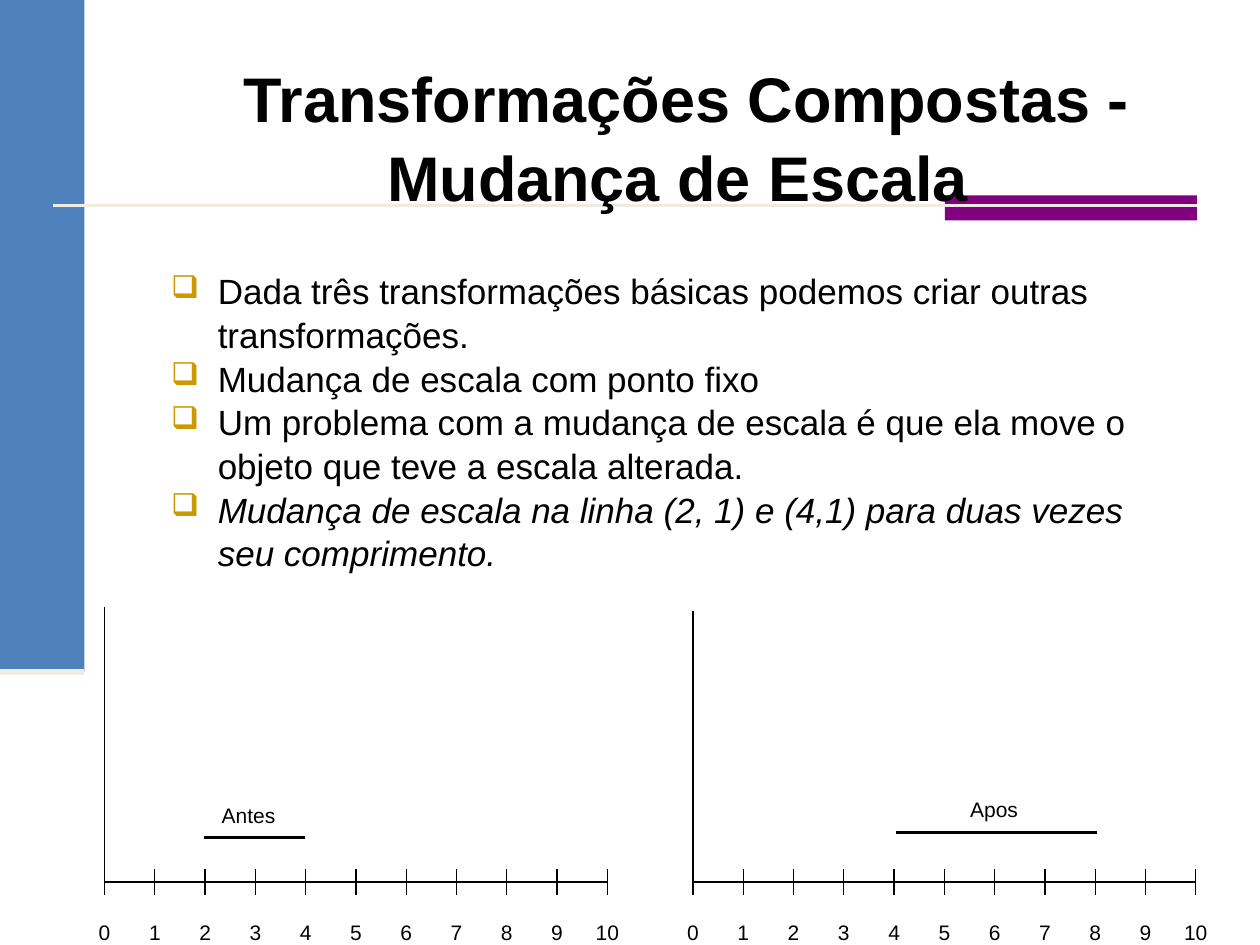
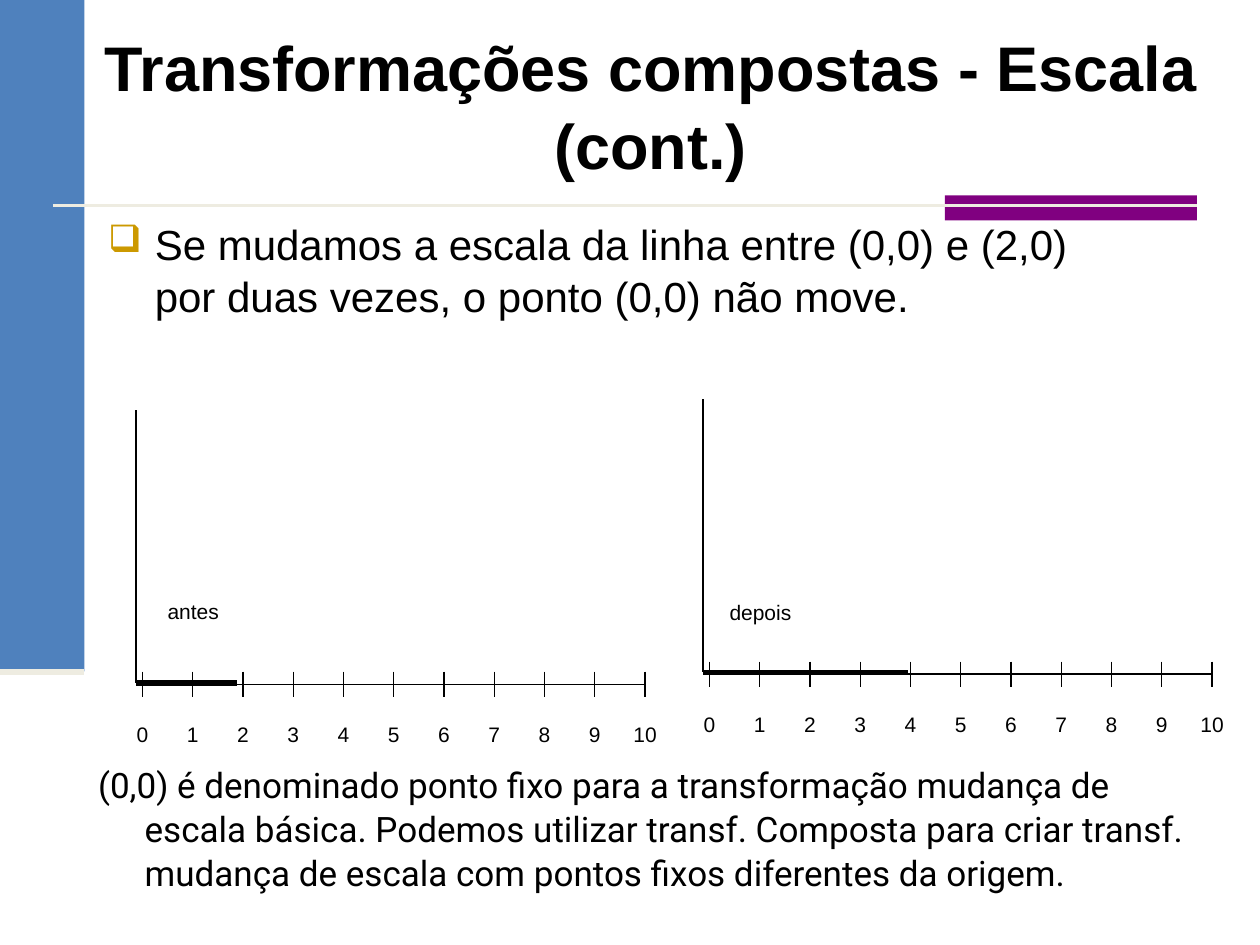
from lxml import etree
from pptx import Presentation
from pptx import util as u
from pptx.dml.color import RGBColor
from pptx.enum import shapes, text
from pptx.oxml import ns

BLACK, BLUE, PURPLE, CREAM, GOLD = "000000", "4F81BD", "800080", "EEECE1", "CC9900"
WIDTH, HEIGHT = 10, 7.5
STEP, TICKS, TICK_REACH = 0.399, 11, 0.1
HANGING, FIRST_LINE = 0.38, -0.37

PAGES = [
    {
        "title": " Transformações Compostas - Mudança de Escala",
        "title_at": (1.33, 0.42, 8.1, 1.31),
        "texts": [
            {
                "at": (1.25, 2.08, 7.92, 2.67), "size": 20, "font": "Arial", "bullet": "❑",
                "lines": [
                    ("Dada três transformações básicas podemos criar outras transformações.", False),
                    ("Mudança de escala com ponto fixo", False),
                    ("Um problema com a mudança de escala é que ela move o objeto que teve a escala alterada.", False),
                    ("Mudança de escala na linha (2, 1) e (4,1) para duas vezes seu comprimento.", True),
                ],
            },
        ],
        "weight": 1.62,
        "graphs": [
            {"origin": (0.83, 7), "axis": (0.83, 7, 4.82), "segment": (1.98, 3.98, 6.65),
             "label": "Antes", "label_at": (1.76, 6.37)},
            {"origin": (5.5, 7), "axis": (5.5, 7, 4.85), "segment": (4.04, 8.04, 6.61),
             "label": "Apos", "label_at": (7.7, 6.32)},
        ],
    },
    {
        "title": "Transformações compostas - Escala (cont.)",
        "title_at": (0.75, 0.17, 8.83, 1.31),
        "texts": [
            {
                "at": (0.75, 1.67, 7.92, 1), "size": 24, "font": "Arial", "bullet": "❑",
                "lines": [("Se mudamos a escala da linha entre (0,0) e (2,0) por duas vezes, "
                           "o ponto (0,0) não move.", False)],
            },
            {
                "at": (0.67, 6, 8.83, 1.33), "size": 20, "font": "Roboto", "bullet": None,
                "lines": [("(0,0) é denominado ponto fixo para a transformação mudança de escala básica. "
                           "Podemos utilizar transf. Composta para criar transf. mudança de escala "
                           "com pontos fixos diferentes da origem.", False)],
            },
        ],
        "weight": 3,
        "graphs": [
            {"origin": (1.13, 5.43), "axis": (1.08, 5.42, 3.25), "segment": (-0.12, 1.88, 5.42),
             "label": "antes", "label_at": (1.33, 4.75)},
            {"origin": (5.63, 5.35), "axis": (5.58, 5.33, 3.17), "segment": (-0.12, 3.96, 5.34),
             "label": "depois", "label_at": (5.79, 4.76)},
        ],
    },
]


def color(value):
    return RGBColor.from_string(value)


def inches(*values):
    return [u.Inches(value) for value in values]


def set_margins(frame, side, top):
    frame.margin_left = frame.margin_right = u.Inches(side)
    frame.margin_top = frame.margin_bottom = u.Inches(top)


def format_para(para, size, font="Arial", bold=False, italic=False):
    for span in para.runs:
        span.font.size, span.font.name = u.Pt(size), font
        span.font.bold, span.font.italic = bold, italic
        span.font.color.rgb = color(BLACK)


def add_line(page, start, end, weight, shade=BLACK):
    line = page.shapes.add_connector(shapes.MSO_CONNECTOR.STRAIGHT, *inches(*start, *end))
    line.line.color.rgb = color(shade)
    line.line.width = u.Pt(weight)
    etree.SubElement(line._element.spPr, ns.qn("a:effectLst"))
    return line


def add_bar(page, at, shade):
    bar = page.shapes.add_shape(shapes.MSO_SHAPE.RECTANGLE, *inches(*at))
    bar.shadow.inherit = False
    bar.fill.solid()
    bar.fill.fore_color.rgb = color(shade)
    bar.line.fill.background()
    return bar


def decorate_layout(layout, page):
    band, band_end, rule_y = 0.67, 5.33, 1.63
    parts = [
        add_bar(page, (0, 0, band, band_end), BLUE),
        add_bar(page, (7.5, 1.55, 2, 0.2), PURPLE),
        add_line(page, (0.42, rule_y), (9.5, rule_y), 1.5, CREAM),
        add_line(page, (0, band_end), (band, band_end), 3.5, CREAM),
    ]
    for part in parts:
        layout.shapes._spTree.append(part._element)


def write_title(page, words, at):
    title = page.shapes.title
    title.left, title.top, title.width, title.height = inches(*at)
    frame = title.text_frame
    frame.text = words
    frame.word_wrap = True
    frame.auto_size = text.MSO_AUTO_SIZE.NONE
    frame.vertical_anchor = text.MSO_ANCHOR.MIDDLE
    set_margins(frame, 0.07, 0.03)
    para = frame.paragraphs[0]
    para.alignment = text.PP_ALIGN.CENTER
    para.line_spacing = 1.04
    format_para(para, 36, bold=True)


def hang(para, bullet):
    props = para._p.get_or_add_pPr()
    props.set("marL", str(u.Inches(HANGING)))
    props.set("indent", str(u.Inches(FIRST_LINE)))
    if bullet:
        shade = etree.SubElement(props, ns.qn("a:buClr"))
        etree.SubElement(shade, ns.qn("a:srgbClr"), val=GOLD)
        etree.SubElement(props, ns.qn("a:buSzPct"), val="90000")
        etree.SubElement(props, ns.qn("a:buChar"), char=bullet)


def write_text(page, at, size, font, bullet, lines):
    frame = page.shapes.add_textbox(*inches(*at)).text_frame
    frame.word_wrap = True
    set_margins(frame, 0.1, 0.05)
    frame.text = "\n".join(words for words, _ in lines)
    for para, (_, italic) in zip(frame.paragraphs, lines):
        para.line_spacing = 1.04
        hang(para, bullet)
        format_para(para, size, font, italic=italic)


def write_label(page, words, left, top, width, centred=False):
    frame = page.shapes.add_textbox(*inches(left, top, width, 0.2)).text_frame
    frame.word_wrap = False
    set_margins(frame, 0, 0)
    frame.text = words
    para = frame.paragraphs[0]
    para.alignment = text.PP_ALIGN.CENTER if centred else text.PP_ALIGN.LEFT
    format_para(para, 12)


def draw_graph(page, weight, origin, axis, segment, label, label_at):
    x, y = origin
    add_line(page, origin, (x + STEP * (TICKS - 1), y), 0.75)
    for number in range(TICKS):
        tick = x + STEP * number
        add_line(page, (tick, y - TICK_REACH), (tick, y + TICK_REACH), 0.75)
        write_label(page, str(number), tick - 0.1, y + 0.3, 0.2, centred=True)
    axis_x, bottom, top = axis
    add_line(page, (axis_x, bottom), (axis_x, top), 1)
    start, end, height = segment
    add_line(page, (x + STEP * start, height), (x + STEP * end, height), weight)
    write_label(page, label, *label_at, 0.5)


def main():
    deck = Presentation()
    deck.slide_width, deck.slide_height = inches(WIDTH, HEIGHT)
    layout = deck.slide_layouts[5]
    for index, content in enumerate(PAGES):
        page = deck.slides.add_slide(layout)
        if index == 0:
            decorate_layout(layout, page)
        write_title(page, content["title"], content["title_at"])
        for block in content["texts"]:
            write_text(page, **block)
        for graph in content["graphs"]:
            draw_graph(page, content["weight"], **graph)
    deck.save("out.pptx")


if __name__ == "__main__":
    main()
